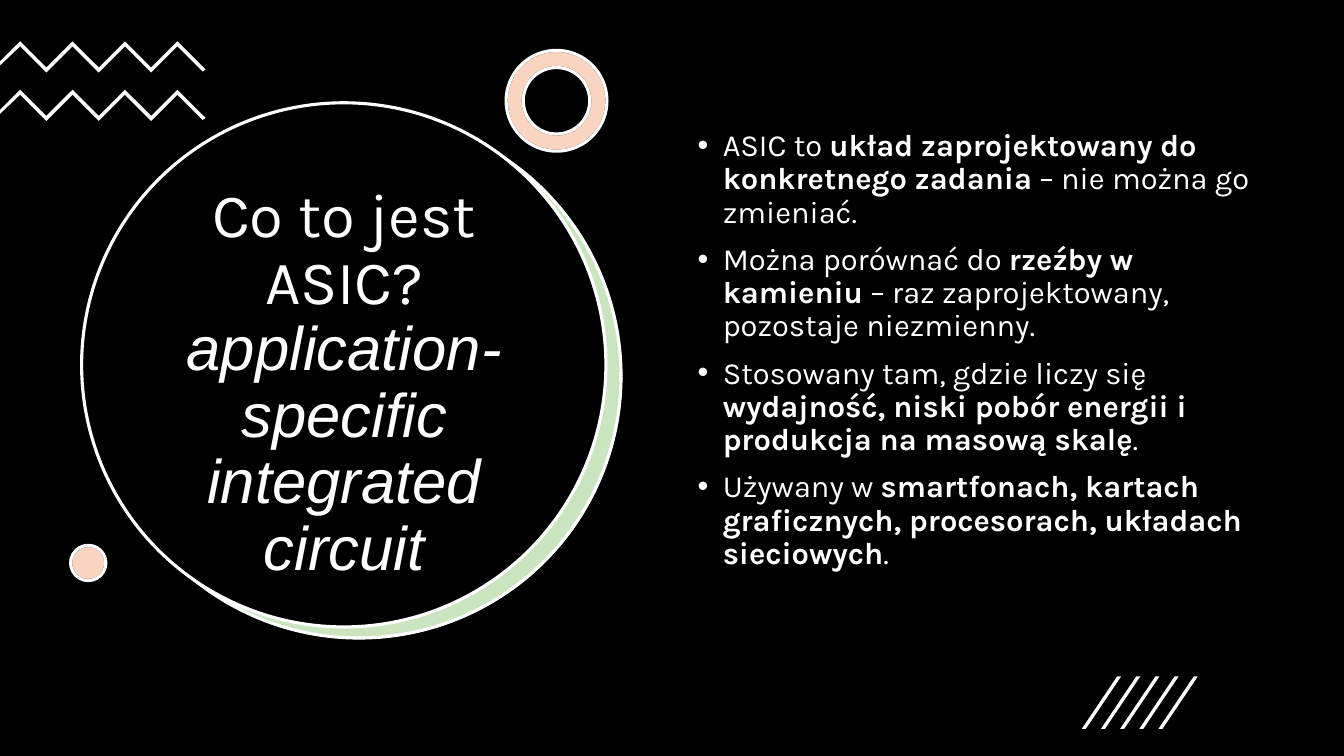
from lxml import etree
from pptx import Presentation
from pptx.dml.color import RGBColor
from pptx.enum.shapes import MSO_SHAPE
from pptx.enum.text import MSO_ANCHOR, PP_ALIGN
from pptx.oxml.ns import qn
from pptx.util import Inches, Pt

RECT, OVAL, DONUT = MSO_SHAPE.RECTANGLE, MSO_SHAPE.OVAL, MSO_SHAPE.DONUT
MIDDLE, CENTER = MSO_ANCHOR.MIDDLE, PP_ALIGN.CENTER
WHITE, BLACK, GREEN, ORANGE = "FFFFFF", "000000", "4EA72E", "E97132"
WIDTH, HEIGHT = 13.33, 7.5

prs = Presentation()
prs.slide_width, prs.slide_height = Inches(WIDTH), Inches(HEIGHT)
s = prs.slides.add_slide(prs.slide_layouts[6])


def paint(sp, fill, line=None, opacity=100):
    sp.shadow.inherit = False
    sp.fill.solid()
    sp.fill.fore_color.rgb = RGBColor.from_string(fill)
    if opacity < 100:
        color = sp.fill._xPr.find(qn("a:solidFill"))[0]
        etree.SubElement(color, qn("a:alpha"), val=str(opacity * 1000))
    if line:
        sp.line.color.rgb = RGBColor.from_string(line)
        sp.line.width = Pt(2.25)
    else:
        sp.line.fill.background()


def polygon(points):
    points = [(Inches(x), Inches(y)) for x, y in points]
    builder = s.shapes.build_freeform(*points[0])
    builder.add_line_segments(points[1:], close=True)
    paint(builder.convert_to_shape(), WHITE)


# Background and large circles: kind, left, top, width, height, fill, line, opacity
backdrop = [
    (RECT, 0, 0, WIDTH, HEIGHT, BLACK, None, 100),
    (OVAL, 0.97, 1.14, 5.2, 5.2, WHITE, None, 100),
    (OVAL, 0.96, 1.13, 5.2, 5.2, GREEN, WHITE, 30),
    (OVAL, 0.81, 1.02, 5.2, 5.2, BLACK, WHITE, 100),
]
for kind, x, y, w, h, fill, line, opacity in backdrop:
    sp = s.shapes.add_shape(kind, Inches(x), Inches(y), Inches(w), Inches(h))
    paint(sp, fill, line, opacity)

# Title
sp = s.shapes.add_textbox(Inches(1.21), Inches(2.05), Inches(4.41), Inches(3.52))
tf = sp.text_frame
tf.word_wrap = True
tf.vertical_anchor = MIDDLE
p = tf.paragraphs[0]
p.alignment, p.line_spacing = CENTER, 0.9
for text, font, italic in [
    ("Co to jest ASIC? ", "Karla", False),
    ("application-specific integrated circuit", "Arial", True),
]:
    r = p.add_run()
    r.text = text
    r.font.name, r.font.size, r.font.italic = font, Pt(44), italic
    r.font.color.rgb = RGBColor.from_string(WHITE)

# Zigzag bands
STEP, BAND = 0.26, 0.05
ridge = [(0.2 + STEP * i, STEP * (i % 2)) for i in range(7)]
upper = [(0, 0.2)] + ridge + [(2.04, 0.28)]
lower = [(2.01, 0.3)] + [(x, y + BAND) for x, y in reversed(ridge)] + [(0, 0.24)]
for top in (0.41, 0.89):
    polygon([(x, top + y) for x, y in upper + lower])

# Ring and dot, each a white base under a tint
for kind, x, y, size in [(DONUT, 5.02, 0.5, 1), (OVAL, 0.7, 5.41, 0.35)]:
    for fill, line, opacity in [(WHITE, BLACK, 100), (ORANGE, WHITE, 30)]:
        sp = s.shapes.add_shape(kind, Inches(x), Inches(y), Inches(size), Inches(size))
        if kind == DONUT:
            sp.adjustments[0] = 0.17
        paint(sp, fill, line, opacity)

# Bullet list: plain start, bold middle, plain end
bullets = [
    ("ASIC to ", "układ zaprojektowany do konkretnego zadania",
     " – nie można go zmieniać."),
    ("Można porównać do ", "rzeźby w kamieniu",
     " – raz zaprojektowany, pozostaje niezmienny."),
    ("Stosowany tam, gdzie liczy się ",
     "wydajność, niski pobór energii i produkcja na masową skalę", "."),
    ("Używany w ",
     "smartfonach, kartach graficznych, procesorach, układach sieciowych", "."),
]
sp = s.shapes.add_textbox(Inches(6.82), Inches(1.24), Inches(5.71), Inches(4.76))
tf = sp.text_frame
tf.word_wrap = True
for i, parts in enumerate(bullets):
    p = tf.add_paragraph() if i else tf.paragraphs[0]
    p.line_spacing, p.space_before = 0.9, Pt(10)
    pPr = p._p.get_or_add_pPr()
    pPr.set("marL", str(Inches(0.25)))
    pPr.set("indent", str(-Inches(0.25)))
    etree.SubElement(pPr, qn("a:buFont"), typeface="Arial")
    etree.SubElement(pPr, qn("a:buChar"), char="•")
    for j, text in enumerate(parts):
        r = p.add_run()
        r.text = text
        r.font.name, r.font.size, r.font.bold = "Karla", Pt(22), j == 1
        r.font.color.rgb = RGBColor.from_string(WHITE)

# Slanted strokes
for i in range(5):
    x = 10.73 + 0.19 * i
    polygon([(x + 0.04, 7.23), (x, 7.23), (x + 0.35, 6.71), (x + 0.39, 6.71)])

prs.save("out.pptx")
